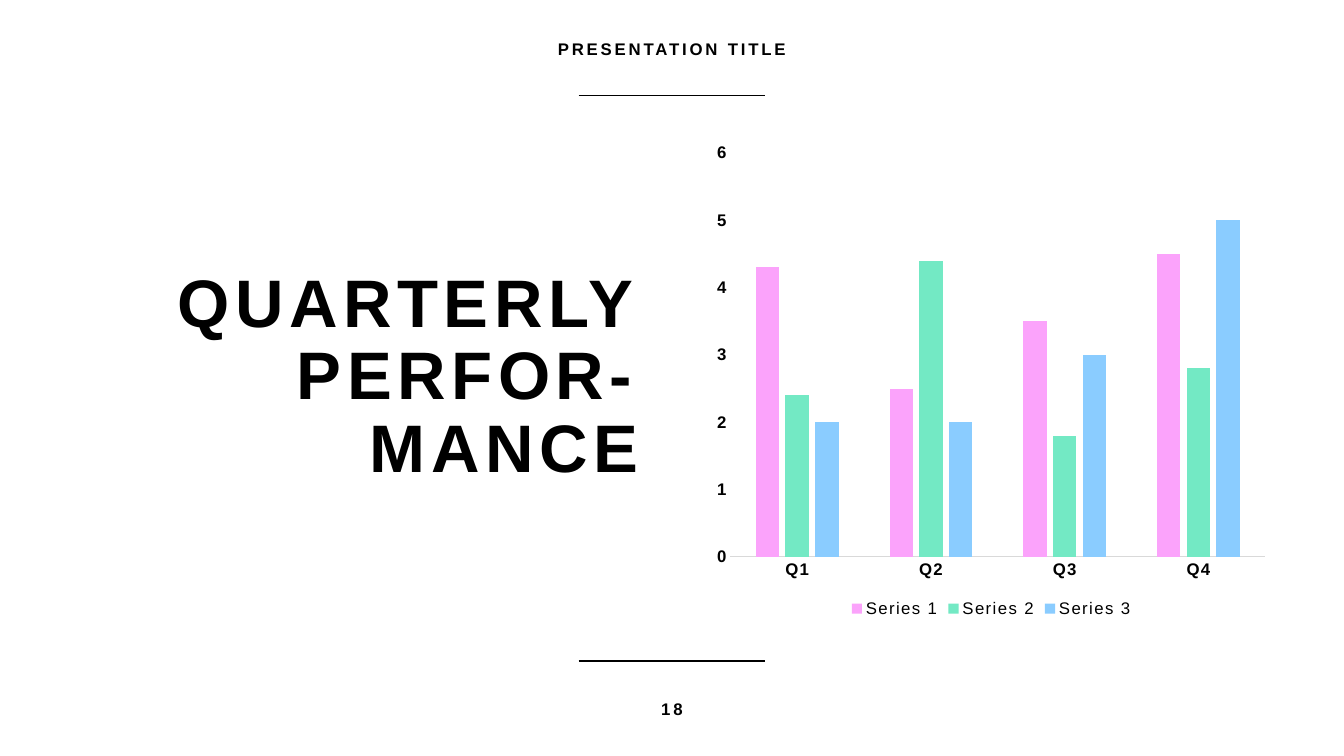
from dataclasses import dataclass

from pptx import Presentation
from pptx import util as u
from pptx.chart import data as chart_data
from pptx.dml import color as c
from pptx.enum import chart as ch
from pptx.enum import shapes, text
from pptx.oxml import ns
from pptx.oxml import xmlchemy as xml


@dataclass(frozen=True)
class Theme:
    font: str = "Arial"
    ink: str = "000000"
    paper: str = "FFFFFF"
    axis: str = "D9D9D9"
    title_size: float = 48
    label_size: float = 12


@dataclass(frozen=True)
class Box:
    left: float
    top: float
    width: float
    height: float

    def lengths(self) -> tuple:
        return u.Pt(self.left), u.Pt(self.top), u.Pt(self.width), u.Pt(self.height)


@dataclass(frozen=True)
class Series:
    name: str
    values: tuple
    color: str


THEME = Theme()
TITLE_BOX = Box(48, 96, 408, 348)
CHART_BOX = Box(504, 96, 408, 348)
HEADER_BOX = Box(318, 0.7, 324, 67.7)
FOOTER_BOX = Box(318, 473, 324, 67)
RULE_LEFT, RULE_RIGHT = 413.3, 546.5
RULE_HEIGHTS = (68.4, 472.3)
QUARTERS = ("Q1", "Q2", "Q3", "Q4")
SERIES = (
    Series("Series 1", (4.3, 2.5, 3.5, 4.5), "FBA3FB"),
    Series("Series 2", (2.4, 4.4, 1.8, 2.8), "73E9C4"),
    Series("Series 3", (2, 2, 3, 5), "8ACCFF"),
)


def rgb(value: str) -> c.RGBColor:
    return c.RGBColor.from_string(value)


def style_font(font, size: float, bold: bool) -> None:
    font.name = THEME.font
    font.size = u.Pt(size)
    font.bold = bold
    font.color.rgb = rgb(THEME.ink)


def style_line(line, color: str, width: float) -> None:
    line.color.rgb = rgb(color)
    line.width = u.Pt(width)


def add_text(page, words: str, box: Box, *, size: float = THEME.label_size,
             align=text.PP_ALIGN.CENTER, tracking: float = 2,
             side_margin: float = 7.2, line_spacing: float = 1.0) -> None:
    frame = page.shapes.add_textbox(*box.lengths()).text_frame
    frame.word_wrap = True
    frame.vertical_anchor = text.MSO_ANCHOR.MIDDLE
    frame.margin_left = frame.margin_right = u.Pt(side_margin)
    para = frame.paragraphs[0]
    para.alignment = align
    para.line_spacing = line_spacing
    span = para.add_run()
    span.text = words
    style_font(span.font, size, True)
    span.font._element.set("spc", str(round(tracking * 100)))


def add_rule(page, top: float) -> None:
    rule = page.shapes.add_connector(
        shapes.MSO_CONNECTOR.STRAIGHT,
        u.Pt(RULE_LEFT), u.Pt(top), u.Pt(RULE_RIGHT), u.Pt(top))
    style_line(rule.line, THEME.ink, 1)
    rule._element.spPr.append(xml.OxmlElement("a:effectLst"))


def add_column_chart(page, box: Box) -> None:
    table = chart_data.CategoryChartData()
    table.categories = QUARTERS
    for series in SERIES:
        table.add_series(series.name, series.values)
    chart = page.shapes.add_chart(
        ch.XL_CHART_TYPE.COLUMN_CLUSTERED, *box.lengths(), table).chart
    chart.has_title = False
    style_font(chart.font, 10, False)

    # Columns
    plot = chart.plots[0]
    plot.gap_width, plot.overlap = 218, -27
    plot.vary_by_categories = False
    for drawn, series in zip(plot.series, SERIES):
        drawn.format.fill.solid()
        drawn.format.fill.fore_color.rgb = rgb(series.color)
        drawn.invert_if_negative = False

    # Axes
    for axis in (chart.category_axis, chart.value_axis):
        axis.major_tick_mark = axis.minor_tick_mark = ch.XL_TICK_MARK.NONE
        style_font(axis.tick_labels.font, THEME.label_size, True)
    style_line(chart.category_axis.format.line, THEME.axis, 0.75)
    values = chart.value_axis
    values.minimum_scale, values.maximum_scale, values.major_unit = 0, 6, 1
    values.format.line.fill.background()
    style_line(values.major_gridlines.format.line, THEME.paper, 0.75)

    # Legend
    chart.has_legend = True
    chart.legend.position = ch.XL_LEGEND_POSITION.BOTTOM
    chart.legend.include_in_layout = False
    style_font(chart.legend.font, THEME.label_size, False)

    # Letter spacing of all chart text
    for properties in chart._chartSpace.iter(ns.qn("a:defRPr")):
        properties.set("spc", "100")


def main() -> None:
    deck = Presentation()
    deck.slide_width, deck.slide_height = u.Pt(960), u.Pt(540)
    page = deck.slides.add_slide(deck.slide_layouts[6])
    page.background.fill.solid()
    page.background.fill.fore_color.rgb = rgb(THEME.paper)

    # Rules under the header and above the footer
    for top in RULE_HEIGHTS:
        add_rule(page, top)

    # Title, header, chart and page number
    add_text(page, "QUARTERLY PERFOR-MANCE", TITLE_BOX, size=THEME.title_size,
             align=text.PP_ALIGN.RIGHT, tracking=4, side_margin=0, line_spacing=0.9)
    add_text(page, "PRESENTATION TITLE", HEADER_BOX)
    add_column_chart(page, CHART_BOX)
    add_text(page, "18", FOOTER_BOX)

    deck.save("out.pptx")


if __name__ == "__main__":
    main()
